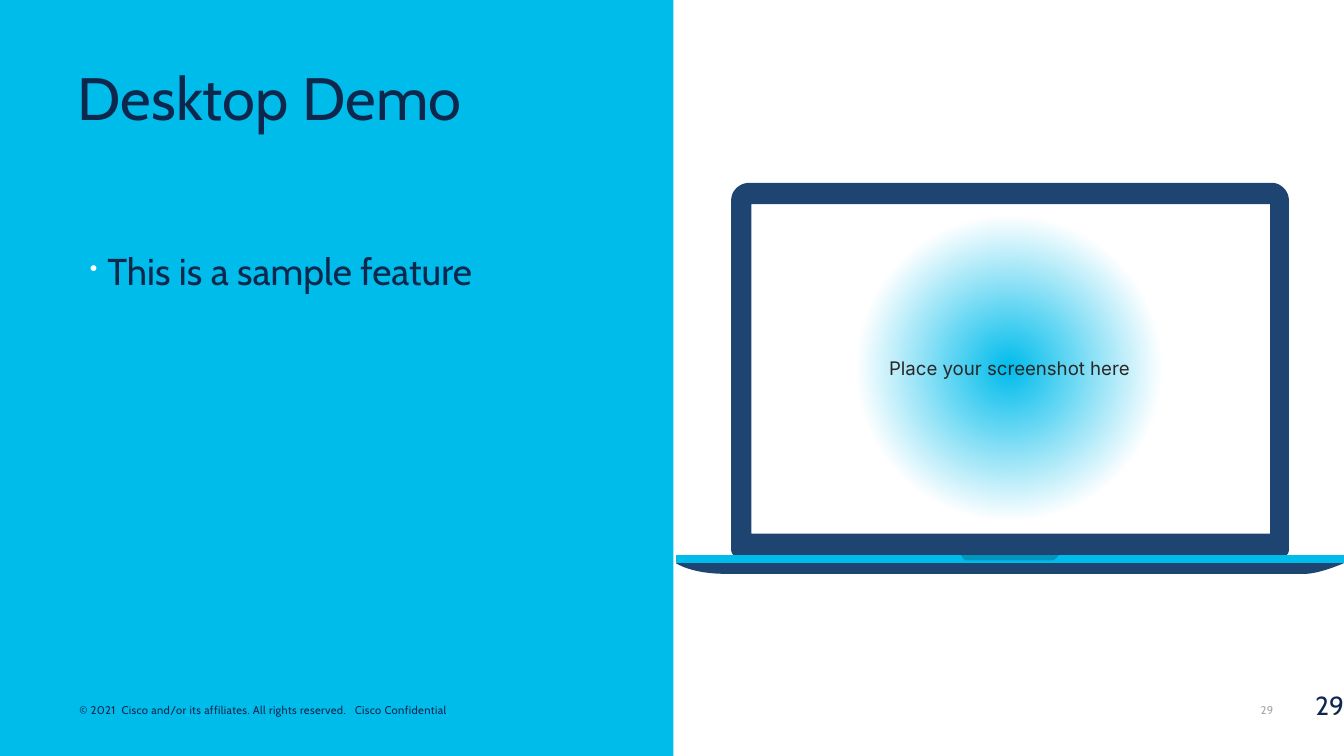
from lxml.etree import SubElement
from pptx import Presentation
from pptx.dml.color import RGBColor
from pptx.enum.shapes import MSO_SHAPE as Shape
from pptx.enum.text import MSO_ANCHOR as Anchor, PP_ALIGN as Align
from pptx.oxml import parse_xml
from pptx.oxml.ns import nsdecls, qn
from pptx.util import Inches, Pt

# Content
WIDTH = 10
HEIGHT = WIDTH * 9 / 16
TITLE = "Desktop Demo"
FEATURES = ["This is a sample feature"]
SCREEN_TEXT = "Place your screenshot here"
COPYRIGHT = ("© 2021  Cisco and/or its affiliates. All rights reserved."
             "   Cisco Confidential")
PAGE = "29"
COLORS = {"cyan": "00BCEB", "navy": "0D274D", "laptop": "1E4471", "white": "FFFFFF",
          "gray": "A6A6A6", "text": "282828", "notch": "000C18"}

# Laptop outlines: a point is a line, six numbers are a curve
LID = [(9.46, 1.36), (5.58, 1.36), (5.5, 1.36, 5.44, 1.42, 5.44, 1.49),
       (5.44, 4.09), (5.44, 4.12, 5.46, 4.14, 5.49, 4.14), (9.55, 4.14),
       (9.57, 4.14, 9.59, 4.12, 9.59, 4.09), (9.59, 1.49),
       (9.59, 1.42, 9.53, 1.36, 9.46, 1.36)]
OPENING = [(9.45, 3.97), (5.59, 3.97), (5.59, 1.52), (9.45, 1.52)]
BASE = [(5.03, 4.19), (5.03, 4.19, 5.14, 4.27, 5.4, 4.27), (9.71, 4.27),
        (9.82, 4.27, 10, 4.19, 10, 4.19)]
DECK = [(5.03, 4.19), (10, 4.19), (10, 4.13), (5.03, 4.13)]
NOTCH = [(7.15, 4.13), (7.15, 4.13, 7.17, 4.17, 7.19, 4.17), (7.83, 4.17),
         (7.85, 4.17, 7.88, 4.13, 7.88, 4.13)]
CURVE_STEPS = 12

prs = Presentation()
prs.slide_width, prs.slide_height = Inches(WIDTH), Inches(HEIGHT)
slide = prs.slides.add_slide(prs.slide_layouts[6])
shapes = slide.shapes


def rgb(name):
    return RGBColor.from_string(COLORS[name])


def add_bullet(paragraph):
    props = paragraph._p.get_or_add_pPr()
    props.set("marL", str(Inches(0.19)))
    props.set("indent", str(Inches(-0.13)))
    color = SubElement(props, qn("a:buClr"))
    SubElement(color, qn("a:srgbClr"), val=COLORS["white"])
    SubElement(props, qn("a:buSzPct"), val="60000")
    SubElement(props, qn("a:buChar"), char="•")


def write(shape, lines, size, color="navy", font="Cabin", align=Align.LEFT,
          anchor=Anchor.TOP, insets=(0.1, 0.05), wrap=True, leading=None,
          bullet=False, tracking=None):
    frame = shape.text_frame
    frame.word_wrap = wrap
    frame.vertical_anchor = anchor
    frame.margin_left = frame.margin_right = Inches(insets[0])
    frame.margin_top = frame.margin_bottom = Inches(insets[1])
    for i, line in enumerate(lines):
        paragraph = frame.add_paragraph() if i else frame.paragraphs[0]
        if bullet:
            add_bullet(paragraph)
        paragraph.alignment = align
        if leading:
            paragraph.line_spacing = leading
        run = paragraph.add_run()
        run.text = line
        run.font.name, run.font.size = font, Pt(size)
        run.font.color.rgb = rgb(color)
        if tracking:
            run._r.get_or_add_rPr().set("spc", str(round(tracking * 100)))


def add_text(box, lines, size, **style):
    write(shapes.add_textbox(*map(Inches, box)), lines, size, **style)


def paint(shape, color, opacity=None):
    shape.shadow.inherit = False
    shape.line.fill.background()
    shape.fill.solid()
    shape.fill.fore_color.rgb = rgb(color)
    if opacity:
        value = shape._element.spPr.find(".//" + qn("a:srgbClr"))
        SubElement(value, qn("a:alpha"), val=str(opacity * 1000))
    return shape


def add_rectangle(box, color):
    return paint(shapes.add_shape(Shape.RECTANGLE, *map(Inches, box)), color)


def flatten(outline):
    points = []
    for step in outline:
        if len(step) == 2:
            points.append(step)
            continue
        corners = [points[-1], step[:2], step[2:4], step[4:]]
        for i in range(1, CURVE_STEPS + 1):
            t = i / CURVE_STEPS
            weights = ((1 - t) ** 3, 3 * t * (1 - t) ** 2, 3 * t * t * (1 - t), t ** 3)
            points.append(tuple(sum(w * c[axis] for w, c in zip(weights, corners))
                                for axis in (0, 1)))
    return [(Inches(x), Inches(y)) for x, y in points]


def add_outline(contours, color, opacity=None):
    first, *rest = map(flatten, contours)
    builder = shapes.build_freeform(*first[0])
    builder.add_line_segments(first[1:], close=True)
    for points in rest:
        builder.move_to(*points[0])
        builder.add_line_segments(points[1:], close=True)
    paint(builder.convert_to_shape(), color, opacity)


# Left panel and footer
add_text((9.31, 5.19, 0.24, 0.17), [PAGE], 6, color="gray", anchor=Anchor.BOTTOM,
         insets=(0.07, 0.03), wrap=False, tracking=0.2)
add_rectangle((0, 0, 5.01, HEIGHT), "cyan")
add_text((0.52, 5.19, 3.9, 0.17), [COPYRIGHT], 6, anchor=Anchor.BOTTOM,
         insets=(0.07, 0.03), tracking=0.2)

# Screen with a radial glow
screen = add_rectangle((5.58, 1.51, 3.86, 2.46), "white")
glow = parse_xml(
    f'<a:gradFill {nsdecls("a")} rotWithShape="1"><a:gsLst>'
    f'<a:gs pos="0"><a:srgbClr val="{COLORS["cyan"]}"/></a:gs>'
    f'<a:gs pos="50000"><a:srgbClr val="{COLORS["white"]}"/></a:gs></a:gsLst>'
    '<a:path path="circle"><a:fillToRect l="50000" t="50000" r="50000" b="50000"/>'
    '</a:path></a:gradFill>')
screen_props = screen._element.spPr
screen_props.replace(screen_props.find(qn("a:solidFill")), glow)
write(screen, [SCREEN_TEXT], 10, color="text", font="Inter", align=Align.CENTER,
      anchor=Anchor.MIDDLE, insets=(0.1, 0.1))

# Title, features and page number
add_text((0.51, 1.82, 4, 3.2), FEATURES, 20, leading=0.95, bullet=True)
add_text((0.48, 0.37, 4.03, 0.8), [TITLE], 32, anchor=Anchor.MIDDLE, leading=0.8)
add_text((9.4, 5.03, 0.6, 0.43), [PAGE], 14, align=Align.RIGHT,
         anchor=Anchor.MIDDLE, insets=(0, 0))

# Laptop
add_outline([LID, OPENING], "laptop")
add_outline([BASE], "laptop")
add_outline([DECK], "cyan")
add_outline([NOTCH], "notch", opacity=22)

prs.save("out.pptx")
